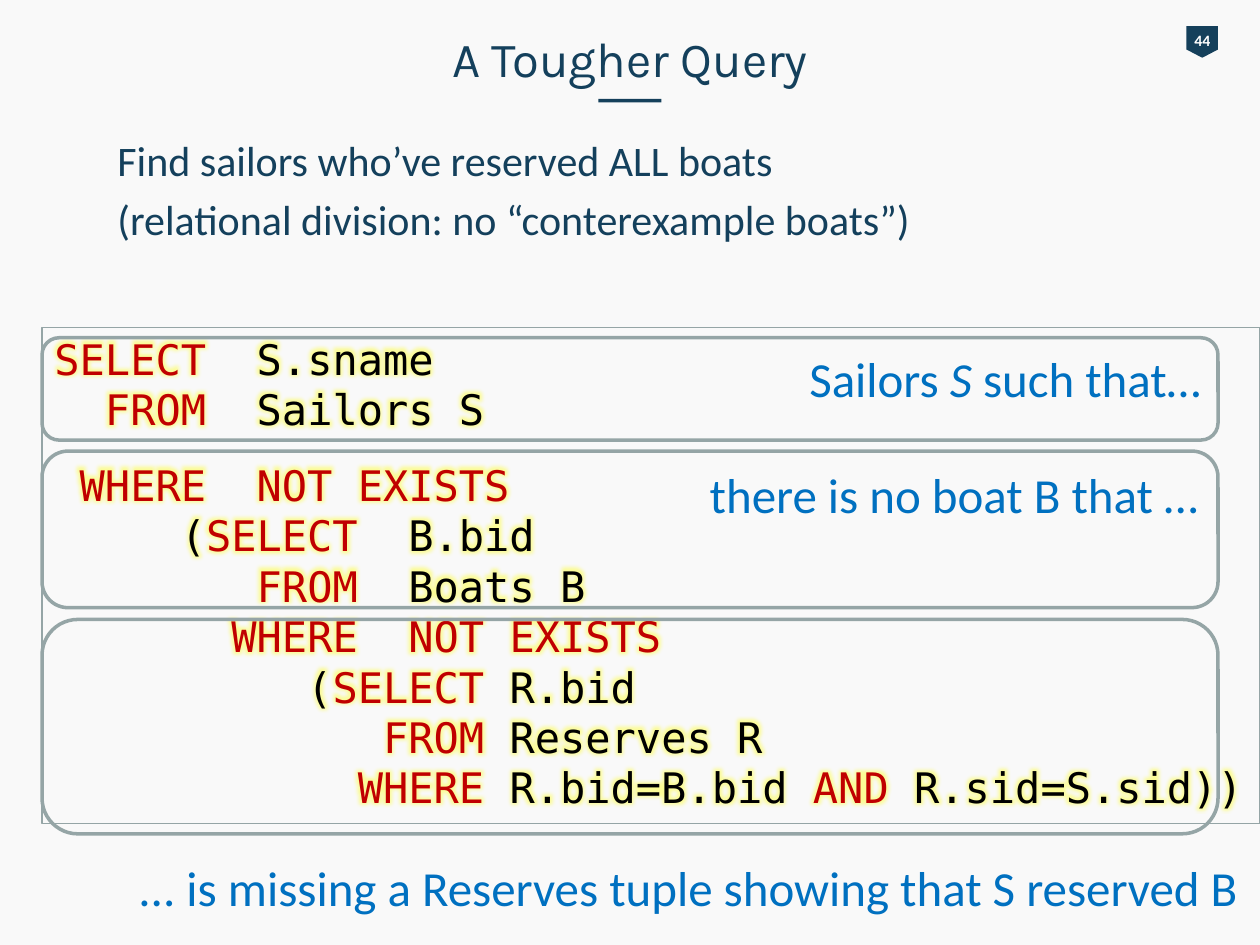
from lxml import etree
from pptx import Presentation
from pptx.dml.color import RGBColor
from pptx.enum.shapes import MSO_SHAPE
from pptx.enum.text import MSO_ANCHOR, PP_ALIGN
from pptx.oxml.ns import qn
from pptx.util import Pt

RECTANGLE, ROUNDED = MSO_SHAPE.RECTANGLE, MSO_SHAPE.ROUNDED_RECTANGLE
PENTAGON = MSO_SHAPE.PENTAGON
LEFT, CENTER, RIGHT = PP_ALIGN.LEFT, PP_ALIGN.CENTER, PP_ALIGN.RIGHT
TOP, MIDDLE = MSO_ANCHOR.TOP, MSO_ANCHOR.MIDDLE

NAVY, BLUE, GRAY, RED = "15405B", "0070C0", "95A5A6", "C00000"
INK, BLACK, WHITE, PAPER, GLOW = "14405C", "000000", "FFFFFF", "F9F9F9", "FFFF00"
BODY, HEADING, MONO = "Calibri", "Karla", "DejaVu Sans Mono"

# Content: every second part between bars is marked (keyword or italic)
TITLE = "A Tougher Query"
PAGE = "44"
QUESTION = [
    "Find sailors who’ve reserved ALL boats",
    "(relational division: no “conterexample boats”)",
]
QUERY = [
    "|SELECT  |S.sname",
    "|  FROM | Sailors S",
    "| WHERE  NOT EXISTS",
    "     (|SELECT  |B.bid",
    "        |FROM|  Boats B",
    "       |WHERE  NOT EXISTS",
    "          (|SELECT |R.bid",
    "             |FROM| Reserves R",
    "            |WHERE |R.bid=B.bid |AND |R.sid=S.sid))",
]
OUTER_WHERE = 2
# Note text, top and height of each frame around a part of the query
FRAMES = [
    ("Sailors |S| such that…", 193, 58.5),
    ("there is no boat B that …", 257.75, 89.5),
    ("", 354, 122.5),
]
CONCLUSION = "... is missing a Reserves tuple showing that S reserved B"


def color(value):
    return RGBColor.from_string(value)


def add_box(slide, kind, box, fill=None, line=None, width=1):
    shape = slide.shapes.add_shape(kind, *map(Pt, box))
    shape.shadow.inherit = False
    if fill:
        shape.fill.solid()
        shape.fill.fore_color.rgb = color(fill)
    else:
        shape.fill.background()
    if line:
        shape.line.color.rgb = color(line)
        shape.line.width = Pt(width)
    else:
        shape.line.fill.background()
    return shape


def write(shape, lines, size, font, ink, marked=None, align=LEFT, anchor=TOP, wrap=True):
    frame = shape.text_frame
    frame.word_wrap = wrap
    frame.vertical_anchor = anchor
    for index, line in enumerate(lines):
        paragraph = frame.add_paragraph() if index else frame.paragraphs[0]
        paragraph.alignment = align
        for part, text in enumerate(line.split("|")):
            if not text:
                continue
            run = paragraph.add_run()
            run.text = text
            run.font.size = Pt(size)
            run.font.name = font
            run.font.color.rgb = color(marked if marked and part % 2 else ink)
            run.font.italic = bool(part % 2 and not marked)
    return frame


def add_text(slide, box, lines, *style, **options):
    return write(slide.shapes.add_textbox(*map(Pt, box)), lines, *style, **options)


def add_glow(run, radius):
    effects = etree.Element(qn("a:effectLst"))
    glow = etree.SubElement(effects, qn("a:glow"), rad=str(Pt(radius)))
    tint = etree.SubElement(glow, qn("a:srgbClr"), val=GLOW)
    etree.SubElement(tint, qn("a:alpha"), val="40000")
    run.font._element.find(qn("a:solidFill")).addnext(effects)


def main():
    presentation = Presentation()
    presentation.slide_width, presentation.slide_height = Pt(720), Pt(540)
    slide = presentation.slides.add_slide(presentation.slide_layouts[6])
    slide.background.fill.solid()
    slide.background.fill.fore_color.rgb = color(PAPER)

    # Page number badge
    badge = add_box(slide, PENTAGON, (678, 15, 18, 18), fill=NAVY)
    badge.rotation = 90
    badge.adjustments[0] = 0.26
    number = add_text(slide, (675.25, 13.75, 23.75, 18), [PAGE], 9, BODY, WHITE,
                      align=CENTER, wrap=False)
    number.paragraphs[0].runs[0].font.bold = True

    # Title, its rule and the question
    add_text(slide, (36, 12.5, 648, 41), [TITLE], 28, HEADING, INK,
             align=CENTER, anchor=MIDDLE)
    add_box(slide, RECTANGLE, (342, 56.5, 36, 2), fill=NAVY)
    question = add_text(slide, (60, 73.5, 601, 346), QUESTION, 24, BODY, INK)
    for paragraph in question.paragraphs:
        paragraph.space_before = Pt(4.8)

    # Query with glowing code
    panel = add_box(slide, RECTANGLE, (24, 187, 696, 283.5), line=GRAY, width=0.75)
    code = write(panel, QUERY, 24, MONO, BLACK, marked=RED)
    code.paragraphs[OUTER_WHERE].line_spacing = 1.5
    for paragraph in code.paragraphs:
        for run in paragraph.runs:
            add_glow(run, 8)

    # Frames and their notes
    for note, top, height in FRAMES:
        frame = add_box(slide, ROUNDED, (24, top, 672, height), line=GRAY, width=2)
        if note:
            write(frame, [note], 28, BODY, BLUE, align=RIGHT)
    add_text(slide, (72, 486.75, 663, 41), [CONCLUSION], 28, BODY, BLUE, wrap=False)

    presentation.save("out.pptx")


if __name__ == "__main__":
    main()
